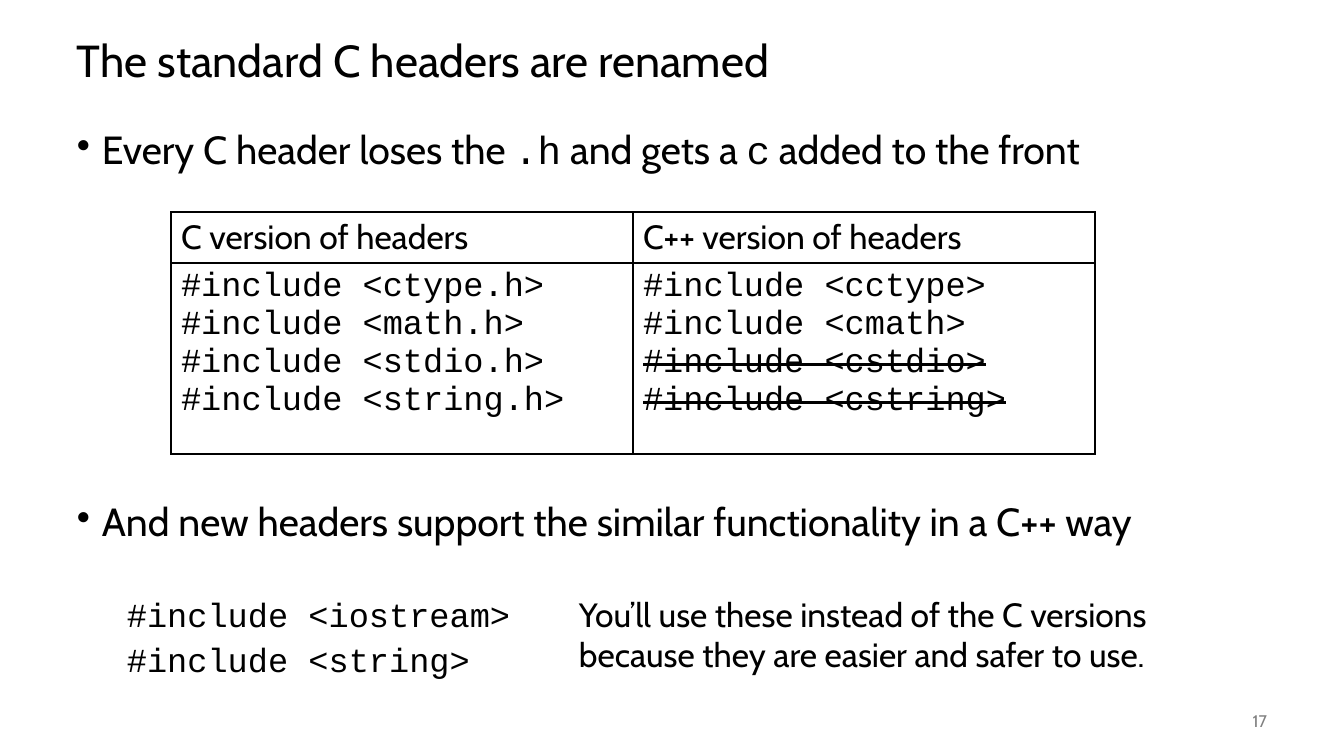
from lxml.etree import SubElement
from pptx import Presentation
from pptx.dml.color import RGBColor
from pptx.enum.text import MSO_ANCHOR, PP_ALIGN
from pptx.oxml import parse_xml
from pptx.oxml.ns import nsdecls, qn
from pptx.util import Emu, Pt

SCALE = 914400 / 100.8
SANS, MONO = "Cabin", "Courier New"
BLACK, GRAY = "000000", "808080"


def px(n):
    return Emu(round(n * SCALE))


def color(code):
    return RGBColor.from_string(code)


def add_run(para, text, font=SANS, size=24, ink=BLACK, strike=False):
    run = para.add_run()
    run.text = text
    run.font.name, run.font.size = font, Pt(size)
    run.font.color.rgb = color(ink)
    if strike:
        run._r.get_or_add_rPr().set("strike", "sngStrike")


def write(frame, lines, bullet=False, align=None, lead=None, gap=0, **style):
    """Each line is a text, or a list of (text, style) parts."""
    for i, line in enumerate(lines):
        para = frame.add_paragraph() if i else frame.paragraphs[0]
        if bullet:
            props = para._p.get_or_add_pPr()
            props.set("marL", str(px(25)))
            props.set("indent", str(-px(25)))
            SubElement(props, qn("a:buChar")).set("char", "•")
        if align is not None:
            para.alignment = align
        if lead:
            para.line_spacing = lead
        if i and gap:
            para.space_before = Pt(gap)
        parts = [(line, {})] if isinstance(line, str) else line
        for text, extra in parts:
            add_run(para, text, **{**style, **extra})


class Deck:
    def __init__(self, wide, high):
        self.prs = Presentation()
        self.prs.slide_width, self.prs.slide_height = px(wide), px(high)
        self.slide = self.prs.slides.add_slide(self.prs.slide_layouts[6])

    def text(self, box, lines, anchor=MSO_ANCHOR.TOP, **style):
        frame = self.slide.shapes.add_textbox(*map(px, box)).text_frame
        frame.word_wrap = True
        frame.vertical_anchor = anchor
        write(frame, lines, **style)

    def table(self, box, heights, rows):
        shape = self.slide.shapes.add_table(len(rows), len(rows[0]), *map(px, box))
        grid = shape.table
        grid.first_row = grid.horz_banding = False
        for r, row in enumerate(rows):
            grid.rows[r].height = px(heights[r])
            for c, (lines, style) in enumerate(row):
                cell = grid.cell(r, c)
                cell.fill.background()
                self.border(cell)
                write(cell.text_frame, lines, **style)

    def border(self, cell):
        props = cell._tc.get_or_add_tcPr()
        for i, side in enumerate("LRTB"):
            props.insert(i, parse_xml(
                f'<a:ln{side} {nsdecls("a")} w="12700"><a:solidFill>'
                f'<a:srgbClr val="{BLACK}"/></a:solidFill></a:ln{side}>'))


deck = Deck(1344, 756)
mono = {"font": MONO}
gone = {"strike": True}

# Title
deck.text((67, 25, 1210, 76), ["The standard C headers are renamed"],
          anchor=MSO_ANCHOR.MIDDLE, lead=0.9, size=32)

# Bullets
rule = [("Every C header loses the ", {}), (".h", mono), (" and gets a ", {}),
        ("c", mono), (" added to the front", {})]
news = "And new headers support the similar functionality in a C++ way"
for top, line in ((126, rule), (498, news)):
    deck.text((67, top, 1210, 54), [line], bullet=True, lead=0.9, size=28)

# Header table
old = [f"#include <{name}.h>" for name in ("ctype", "math", "stdio", "string")]
new = ["#include <cctype>", "#include <cmath>",
       [("#include <cstdio>", gone)], [("#include <cstring>", gone)]]
deck.table((171, 212, 924, 242), (51, 191), [
    [(["C version of headers"], {}), (["C++ version of headers"], {})],
    [(old, mono), (new, mono)],
])

# New headers and advice
deck.text((117, 594, 440, 90), ["#include <iostream>", "#include <string>"],
          lead=0.9, gap=6, font=MONO)
deck.text((569, 589, 657, 92), [
    "You’ll use these instead of the C versions because they are easier "
    "and safer to use."])

# Page number
deck.text((1176, 701, 101, 40), ["17"], anchor=MSO_ANCHOR.MIDDLE,
          align=PP_ALIGN.RIGHT, size=12, ink=GRAY)

deck.prs.save("out.pptx")
